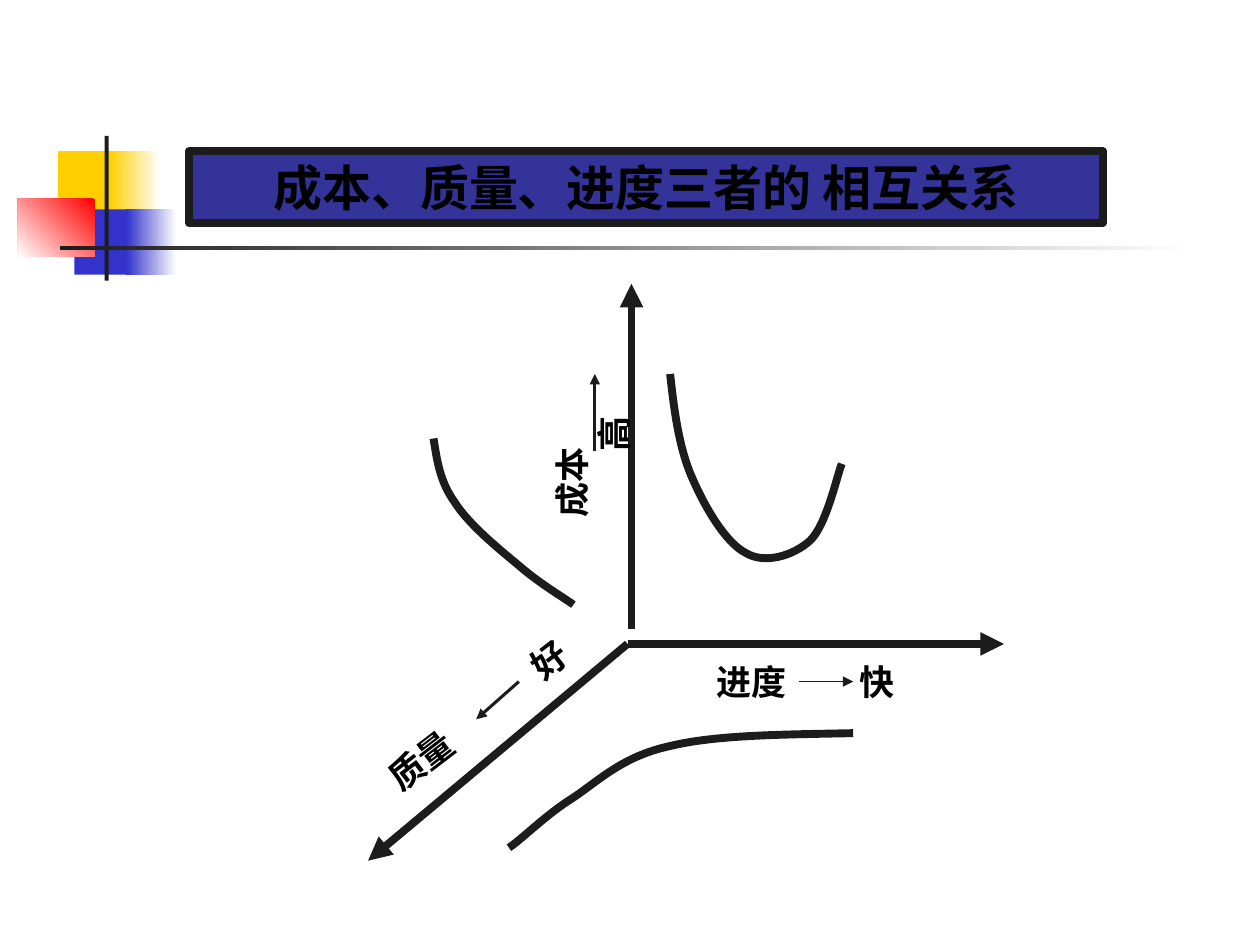
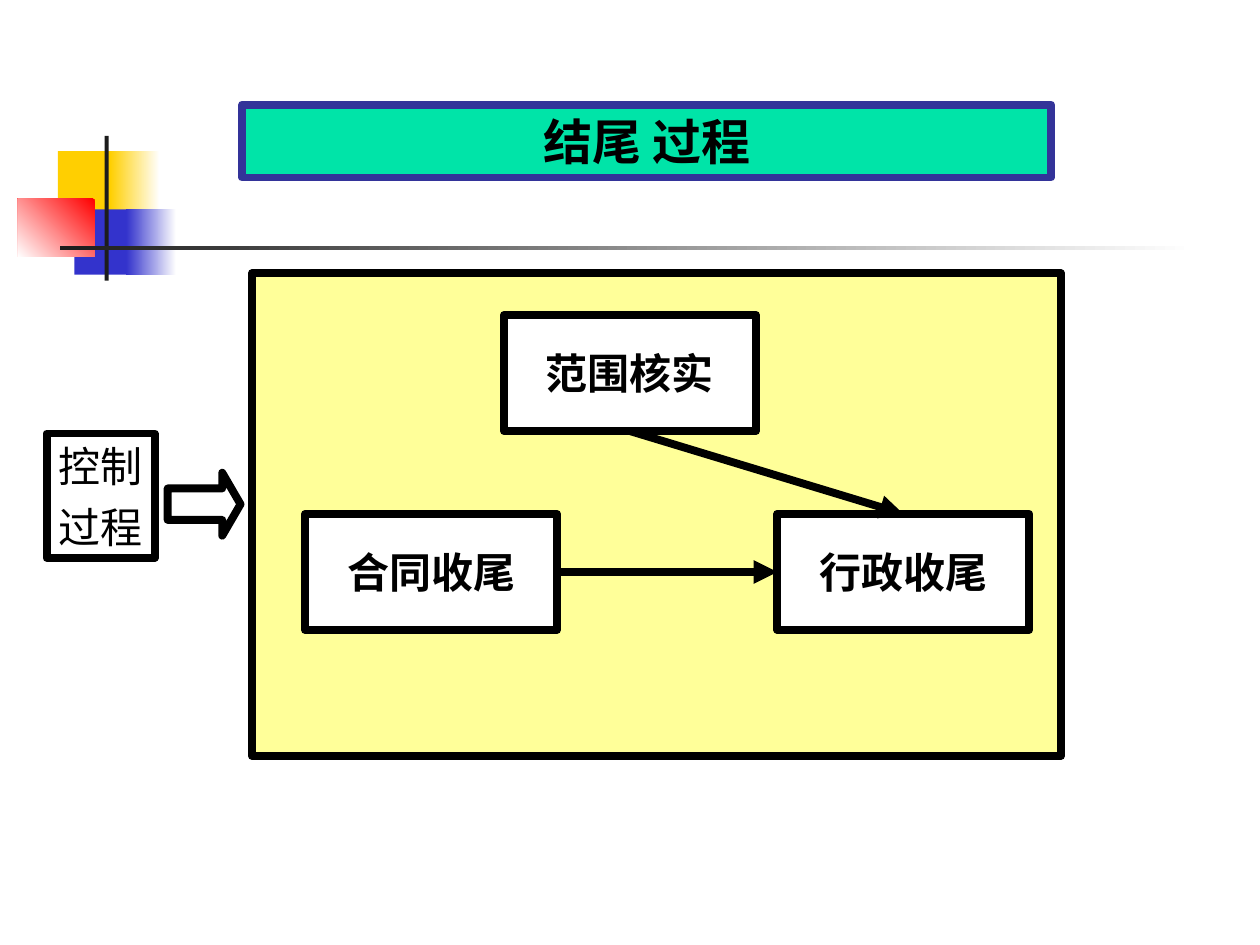
"""Build two project management slides: a trade-off diagram and the closing process."""
from dataclasses import dataclass

from pptx import Presentation
from pptx.dml.color import RGBColor
from pptx.enum.shapes import MSO_CONNECTOR, MSO_SHAPE
from pptx.enum.text import MSO_ANCHOR, PP_ALIGN
from pptx.oxml.xmlchemy import OxmlElement
from pptx.util import Cm, Pt


@dataclass(frozen=True)
class Theme:
    ink: str = "1C1C1C"
    black: str = "000000"
    white: str = "FFFFFF"
    yellow: str = "FFCF01"
    blue: str = "3333CC"
    red: str = "FF0000"
    navy: str = "333399"
    mint: str = "00E4A8"
    cream: str = "FFFF99"
    font: str = "Arial Narrow"
    cjk_font: str = "Noto Sans CJK SC"
    title_size: int = 28
    box_size: int = 24
    label_size: int = 20
    heavy: float = 4.5
    medium: float = 1.75
    hairline: float = 0.25


class Deck:
    def __init__(self, theme):
        self.theme = theme
        self.presentation = Presentation()
        self.presentation.slide_width = Cm(25.4)
        self.presentation.slide_height = Cm(19.05)
        self.slide = None

    def new_slide(self):
        theme = self.theme
        self.slide = self.presentation.slides.add_slide(self.presentation.slide_layouts[6])
        for left, top, width, color in ((1.17, 3.05, 1.22, theme.yellow), (1.5, 4.22, 1.17, theme.blue)):
            self.block(left, top, width, 1.32, fill=color)
            self.fade(left + 1.05, top, 1.0, 1.32, theme.white, color)
        self.fade(0.36, 4.01, 1.55, 1.17, theme.red, theme.white, angle=225)
        self.block(2.11, 2.74, 0.08, 2.92, fill=theme.ink)
        self.fade(1.22, 4.95, 22.86, 0.09, theme.white, theme.ink)

    def block(self, left, top, width, height, fill=None, line=None, kind=MSO_SHAPE.RECTANGLE):
        block = self.slide.shapes.add_shape(kind, Cm(left), Cm(top), Cm(width), Cm(height))
        block.shadow.inherit = False
        if fill:
            block.fill.solid()
            block.fill.fore_color.rgb = RGBColor.from_string(fill)
        else:
            block.fill.background()
        if line:
            self.stroke(block, line, self.theme.heavy)
        else:
            block.line.fill.background()
        return block

    def fade(self, left, top, width, height, start, end, angle=180):
        fade = self.block(left, top, width, height)
        fade.fill.gradient()
        fade.fill.gradient_angle = angle
        for stop, color in zip(fade.fill.gradient_stops, (start, end)):
            stop.color.rgb = RGBColor.from_string(color)

    def stroke(self, shape, color, weight):
        shape.line.color.rgb = RGBColor.from_string(color)
        shape.line.width = Pt(weight)

    def set_text(self, shape, text, size, bold=True, font=None):
        frame = shape.text_frame
        frame.text = text
        frame.word_wrap = False
        frame.vertical_anchor = MSO_ANCHOR.MIDDLE
        for index, paragraph in enumerate(frame.paragraphs):
            paragraph.alignment = PP_ALIGN.CENTER
            if index:
                paragraph.space_before = Pt(size / 4)
            if len(frame.paragraphs) > 1:
                paragraph.line_spacing = Pt(size * 1.2)
            for run in paragraph.runs:
                run.font.name = font or self.theme.font
                run.font.size = Pt(size)
                run.font.bold = bold
                run.font.color.rgb = RGBColor.from_string(self.theme.black)
        for properties in shape.element.xpath(".//a:rPr"):
            east_asian = OxmlElement("a:ea")
            east_asian.set("typeface", self.theme.cjk_font)
            properties.append(east_asian)
        return shape

    def title(self, text, left, top, width, height, fill, line, font=None):
        banner = self.block(left, top, width, height, fill, line)
        self.set_text(banner, text, self.theme.title_size, font=font)

    def box(self, text, left, top, width=5.08, height=2.34, fill=None, bold=True):
        box = self.block(left, top, width, height, fill, self.theme.black)
        return self.set_text(box, text, self.theme.box_size, bold)

    def label(self, text, center_x, center_y, rotation=0):
        width, height = 2, 1.12
        label = self.slide.shapes.add_textbox(
            Cm(center_x - width / 2), Cm(center_y - height / 2), Cm(width), Cm(height))
        label.rotation = rotation
        self.set_text(label, text, self.theme.label_size)

    def arrow(self, start, end, color, weight):
        arrow = self.slide.shapes.add_connector(
            MSO_CONNECTOR.STRAIGHT, *(Cm(value) for value in (*start, *end)))
        self.stroke(arrow, color, weight)
        head = OxmlElement("a:tailEnd")
        head.set("type", "triangle")
        arrow.element.xpath(".//a:ln")[0].append(head)
        arrow.element.spPr.append(OxmlElement("a:effectLst"))
        return arrow

    def link(self, source, source_side, target, target_side):
        link = self.arrow((0, 0), (1, 1), self.theme.black, self.theme.heavy)
        link.begin_connect(source, source_side)
        link.end_connect(target, target_side)

    def curve(self, start, *points):
        builder = self.slide.shapes.build_freeform(Cm(start[0]), Cm(start[1]))
        builder.add_line_segments([(Cm(x), Cm(y)) for x, y in points], close=False)
        curve = builder.convert_to_shape()
        curve.shadow.inherit = False
        curve.fill.background()
        self.stroke(curve, self.theme.ink, self.theme.heavy)
        segments = curve.element.xpath(".//a:lnTo")
        for index in range(0, len(segments), 3):
            bezier = OxmlElement("a:cubicBezTo")
            segments[index].addprevious(bezier)
            for segment in segments[index:index + 3]:
                bezier.append(segment[0])
                segment.getparent().remove(segment)


def build_tradeoff(deck):
    theme = deck.theme
    deck.new_slide()
    origin = (12.65, 12.98)
    deck.arrow((12.73, 12.67), (12.73, 5.72), theme.ink, theme.heavy)
    deck.arrow(origin, (20.24, 12.98), theme.ink, theme.heavy)
    deck.arrow(origin, (7.42, 17.35), theme.ink, theme.heavy)

    deck.curve((17.2, 14.78), (15.82, 14.81), (14.45, 14.81), (13.51, 15.04),
               (12.57, 15.24), (12.09, 15.72), (11.56, 16.08),
               (11.02, 16.41), (10.52, 16.92), (10.26, 17.09))
    deck.curve((13.51, 7.54), (13.59, 8.28), (13.69, 9.02), (13.94, 9.6),
               (14.2, 10.21), (14.63, 10.95), (15.04, 11.15),
               (15.42, 11.38), (16, 11.2), (16.33, 10.9),
               (16.66, 10.59), (16.87, 9.6), (16.97, 9.35))
    deck.curve((8.74, 8.84), (8.81, 9.27), (8.86, 9.7), (9.17, 10.13),
               (9.45, 10.57), (10.06, 11.07), (10.46, 11.4),
               (10.87, 11.76), (11.4, 12.07), (11.56, 12.19))

    for text, x, y, rotation in (
            ("进度", 15.16, 13.73, 0), ("快", 17.68, 13.73, 0),
            ("质量", 8.48, 15.32, 322.5), ("好", 11.07, 13.31, 322.5),
            ("成本", 11.53, 9.72, 270), ("高", 12.37, 8.75, 270)):
        deck.label(text, x, y, rotation)
    deck.arrow((16.1, 13.74), (17.2, 13.74), theme.ink, theme.hairline)
    deck.arrow((10.46, 13.74), (9.6, 14.5), theme.ink, theme.medium)
    deck.arrow((11.99, 9.09), (11.99, 7.54), theme.ink, theme.medium)
    deck.title("成本、质量、进度三者的 相互关系", 3.81, 3.05, 18.42, 1.45,
               theme.navy, theme.ink, theme.cjk_font)


def build_closing(deck):
    theme = deck.theme
    deck.new_slide()
    deck.title("结尾 过程", 4.88, 2.11, 16.31, 1.47, theme.mint, theme.navy)
    deck.block(5.08, 5.51, 16.31, 9.73, theme.cream, theme.black)
    scope_check = deck.box("范围核实", 10.16, 6.35, fill=theme.white)
    admin_close = deck.box("行政收尾", 15.67, 10.36, fill=theme.white)
    contract_close = deck.box("合同收尾", 6.15, 10.36, fill=theme.white)
    deck.link(scope_check, 2, admin_close, 0)
    deck.link(contract_close, 3, admin_close, 1)
    entry = deck.block(3.38, 9.53, 1.47, 1.27, theme.white, theme.black, MSO_SHAPE.RIGHT_ARROW)
    entry.adjustments[1] = 0.29
    deck.box("控制\n过程", 0.94, 8.74, 2.18, 2.51, bold=False)


def main():
    deck = Deck(Theme())
    build_tradeoff(deck)
    build_closing(deck)
    deck.presentation.save("out.pptx")


if __name__ == "__main__":
    main()
